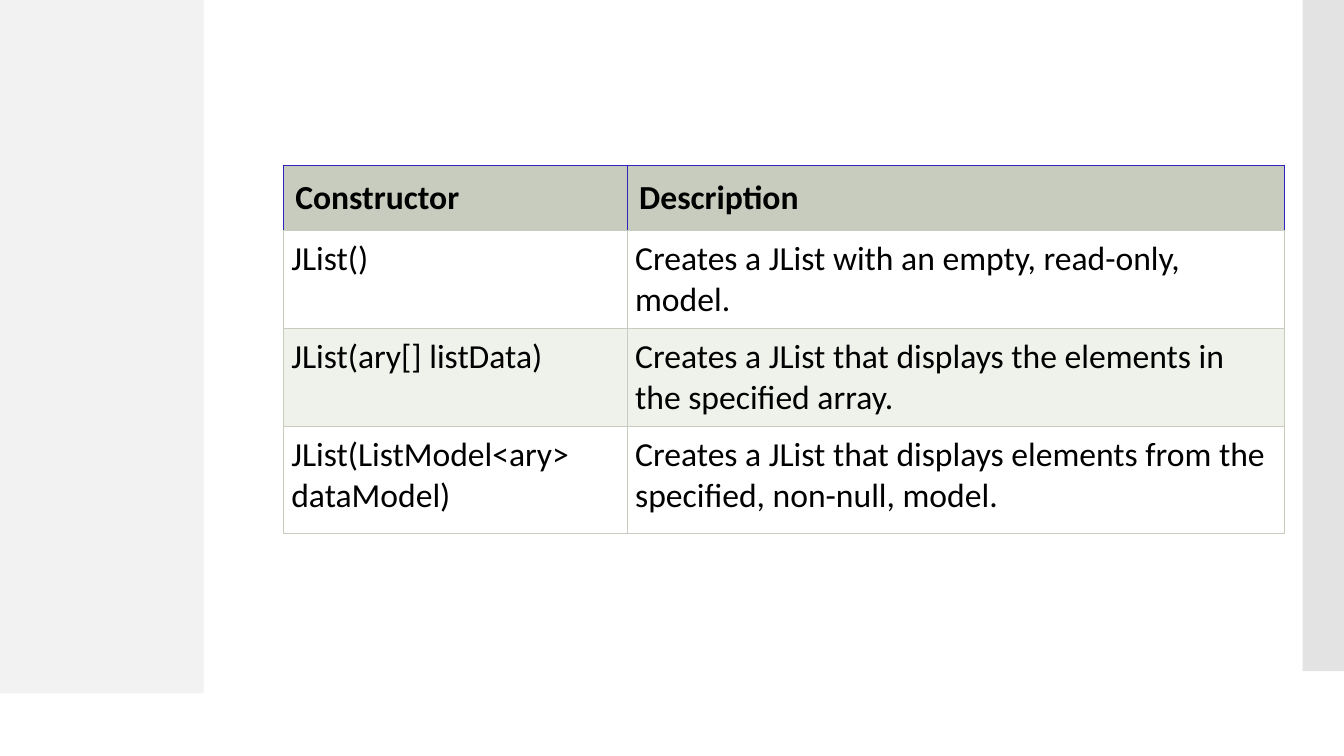
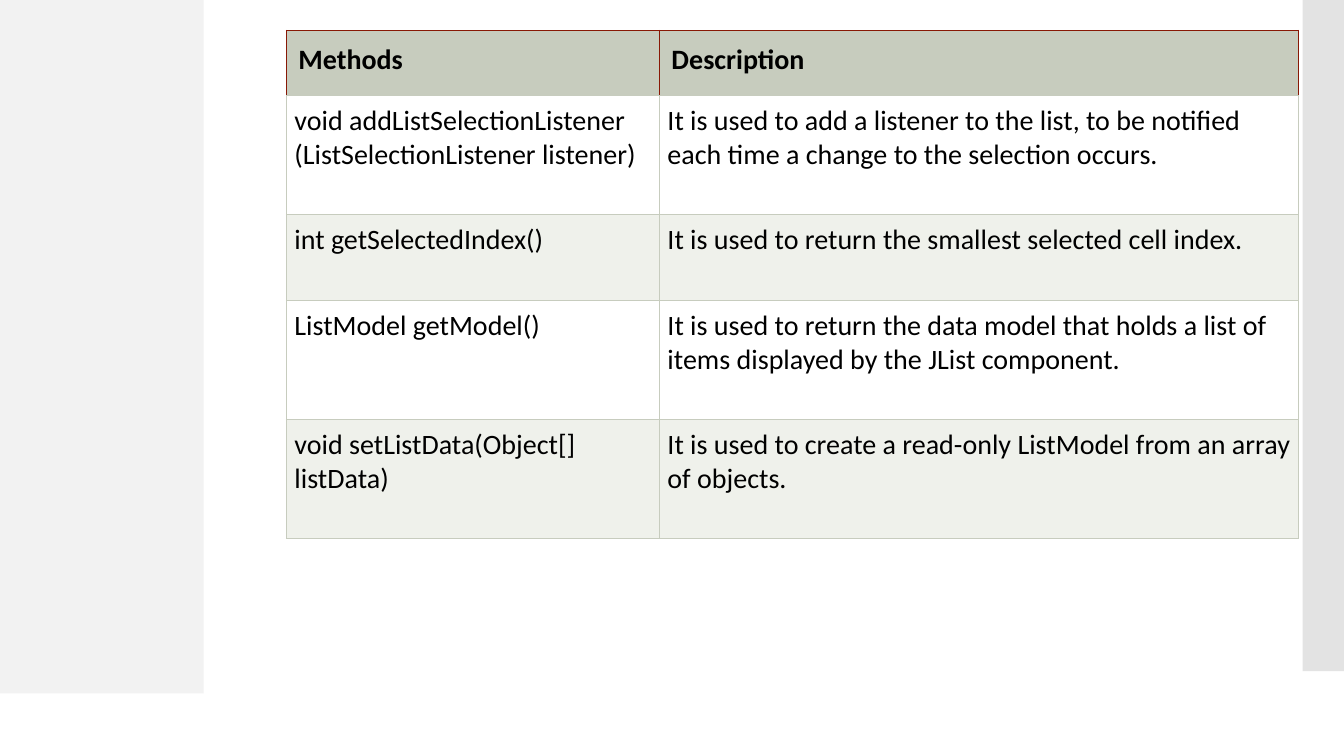
import pptx
import pptx.util
import pptx.dml.color
import pptx.enum.shapes
import pptx.oxml
import pptx.oxml.ns

Inches = pptx.util.Inches
Pt = pptx.util.Pt

# Shared look
FONT = "Calibri"
INK = "000000"
SAGE = "C7CCBE"
STRIPES = ["FFFFFF", "EFF1EB"]
BANDS = [
    # left, width, height, colour, opacity in percent
    (0, 2.02, 6.88, "F2F2F2", 100),
    (12.92, 0.42, 6.66, "C8C8C8", 50),
]

# Content of each slide; the first row of a table is its header
TABLES = [
    {
        "at": (2.81, 1.64), "size": 24, "edge": "3023B8",
        "cols": [3.41, 6.52], "rows": [0.55, 0.76, 0.76, 1.06],
        "text": [
            ("Constructor", "Description"),
            ("JList()", "Creates a JList with an empty, read-only, model."),
            ("JList(ary[] listData)",
             "Creates a JList that displays the elements in the specified array."),
            ("JList(ListModel<ary> dataModel)",
             "Creates a JList that displays elements from the specified, non-null, model."),
        ],
    },
    {
        "at": (2.84, 0.3), "size": 20, "edge": "881805",
        "cols": [3.7, 6.34], "rows": [0.65, 1.18, 0.85, 1.18, 1.18],
        "text": [
            ("Methods", "Description"),
            ("void addListSelectionListener (ListSelectionListener listener)",
             "It is used to add a listener to the list, to be notified each time "
             "a change to the selection occurs."),
            ("int getSelectedIndex()",
             "It is used to return the smallest selected cell index."),
            ("ListModel getModel()",
             "It is used to return the data model that holds a list of items "
             "displayed by the JList component."),
            ("void setListData(Object[] listData)",
             "It is used to create a read-only ListModel from an array of objects."),
        ],
    },
]


def paint(fill, color):
    fill.solid()
    fill.fore_color.rgb = pptx.dml.color.RGBColor.from_string(color)


def border(cell, edges):
    """Draw the left, right, top and bottom lines of a cell."""
    props = cell._tc.get_or_add_tcPr()
    for i, (side, color) in enumerate(zip("LRTB", edges)):
        line = pptx.oxml.parse_xml(
            f'<a:ln{side} {pptx.oxml.ns.nsdecls("a")} w="{Pt(0.75)}">'
            f'<a:solidFill><a:srgbClr val="{color}"/></a:solidFill></a:ln{side}>')
        props.insert(i, line)


deck = pptx.Presentation()
deck.slide_width = Inches(13.33)
deck.slide_height = Inches(7.5)
blank = deck.slide_layouts[6]
slides = [deck.slides.add_slide(blank) for _ in TABLES]

# Side bands: drawn once, then moved to the layout that all slides use
for i, (left, width, height, color, alpha) in enumerate(BANDS):
    band = slides[0].shapes.add_shape(
        pptx.enum.shapes.MSO_SHAPE.RECTANGLE,
        Inches(left), 0, Inches(width), Inches(height))
    band.name = f"Side band {i + 1}"
    band.shadow.inherit = False
    band.line.fill.background()
    paint(band.fill, color)
    if alpha < 100:
        tint = band.element.find(".//" + pptx.oxml.ns.qn("a:srgbClr"))
        tint.append(pptx.oxml.parse_xml(
            f'<a:alpha {pptx.oxml.ns.nsdecls("a")} val="{alpha * 1000}"/>'))
    band.element.nvSpPr.cNvPr.set("id", str(101 + i))
    blank.shapes.element.append(band.element)

# Tables
for slide, data in zip(slides, TABLES):
    left, top = data["at"]
    cols, rows = data["cols"], data["rows"]
    table = slide.shapes.add_table(
        len(rows), len(cols), Inches(left), Inches(top),
        Inches(sum(cols)), Inches(sum(rows))).table
    table.horz_banding = False
    for col, width in zip(table.columns, cols):
        col.width = Inches(width)
    for row, height in zip(table.rows, rows):
        row.height = Inches(height)

    for r, texts in enumerate(data["text"]):
        head = r == 0
        for c, text in enumerate(texts):
            cell = table.cell(r, c)
            pad = Inches(0.12 if head else 0.08)
            cell.margin_left = cell.margin_right = pad
            cell.margin_top = cell.margin_bottom = pad
            paint(cell.fill, SAGE if head else STRIPES[(r - 1) % 2])
            border(cell, [data["edge"] if head else SAGE] * 3 + [SAGE])

            run = cell.text_frame.paragraphs[0].add_run()
            run.text = text
            run.font.name = FONT
            run.font.size = Pt(data["size"])
            run.font.bold = head
            paint(run.font.fill, INK)

deck.save("out.pptx")
